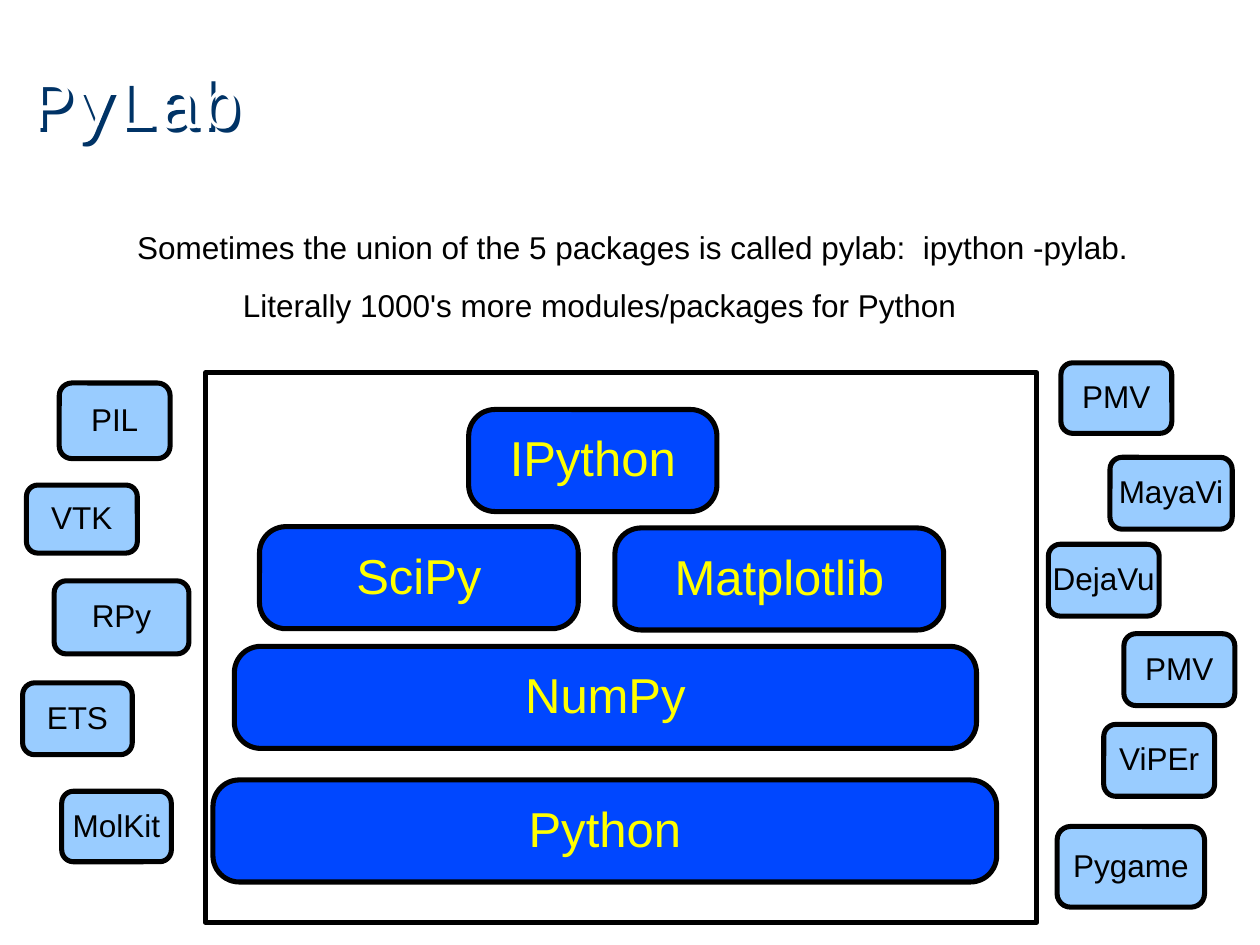
from lxml import etree
from pptx import Presentation
from pptx.dml.color import RGBColor
from pptx.enum import shapes, text
from pptx.oxml import ns
from pptx.util import Inches, Pt

COLORS = {
    "white": "FFFFFF",
    "black": "000000",
    "navy": "003366",
    "core": "0047FF",
    "core_text": "FFFF00",
    "extra": "99CCFF",
}
TITLE = ("PyLab", (0.25, 0.17, 8.5, 1.25))
NOTES = [
    ("Sometimes the union of the 5 packages is called pylab:  ipython -pylab.", (0.99, 1.79, 8.36, 0.38)),
    ("Literally 1000's more modules/packages for Python", (1.83, 2.25, 5.93, 0.38)),
]
CORE_HEIGHT = 0.81
CORE = [
    ("Python", 1.69, 6.19, 6.22),
    ("IPython", 3.72, 3.25, 1.97),
    ("NumPy", 1.86, 5.13, 5.89),
    ("SciPy", 2.06, 4.18, 2.53),
    ("Matplotlib", 4.88, 4.19, 2.61),
]
FRAME = (1.63, 2.96, 6.6, 4.36)
EXTRAS = [
    ("PIL", (0.47, 3.04, 0.88, 0.6)),
    ("VTK", (0.21, 3.85, 0.88, 0.54)),
    ("RPy", (0.43, 4.61, 1.07, 0.58)),
    ("ETS", (0.18, 5.42, 0.87, 0.57)),
    ("MolKit", (0.49, 6.28, 0.87, 0.56)),
    ("PMV", (8.42, 2.88, 0.88, 0.56)),
    ("MayaVi", (8.81, 3.63, 0.97, 0.57)),
    ("DejaVu", (8.32, 4.32, 0.88, 0.57)),
    ("PMV", (8.92, 5.03, 0.88, 0.57)),
    ("ViPEr", (8.76, 5.75, 0.88, 0.57)),
    ("Pygame", (8.39, 6.56, 1.17, 0.64)),
]


def color(name):
    return RGBColor.from_string(COLORS[name])


def write(shape, words, size=18, font="Arial", ink="black", align=text.PP_ALIGN.LEFT,
          anchor=text.MSO_ANCHOR.TOP, wrap=True, spacing=0.93):
    frame = shape.text_frame
    frame.auto_size = text.MSO_AUTO_SIZE.NONE
    frame.word_wrap = wrap
    frame.vertical_anchor = anchor
    paragraph = frame.paragraphs[0]
    paragraph.alignment = align
    paragraph.line_spacing = spacing
    run = paragraph.add_run()
    run.text = words
    run.font.size = Pt(size)
    run.font.name = font
    run.font.color.rgb = color(ink)


def add_box(slide, box, rounding, fill=None):
    shape = slide.shapes.add_shape(shapes.MSO_SHAPE.ROUNDED_RECTANGLE, *map(Inches, box))
    shape.adjustments[0] = rounding
    shape.shadow.inherit = False
    if fill:
        shape.fill.solid()
        shape.fill.fore_color.rgb = color(fill)
    else:
        shape.fill.background()
    shape.line.color.rgb = color("black")
    shape.line.width = Pt(2.89)
    return shape


def add_label_box(slide, words, box, rounding, fill, **style):
    write(add_box(slide, box, rounding, fill), words, align=text.PP_ALIGN.CENTER,
          anchor=text.MSO_ANCHOR.MIDDLE, wrap=False, **style)


def add_title(slide):
    words, box = TITLE
    title = slide.shapes.title
    title.left, title.top, title.width, title.height = map(Inches, box)
    frame = title.text_frame
    frame.margin_left = frame.margin_right = frame.margin_top = frame.margin_bottom = 0
    write(title, words, size=40, font="Courier New", ink="white",
          anchor=text.MSO_ANCHOR.MIDDLE, spacing=1.0)
    effects = etree.SubElement(title.element.spPr, ns.qn("a:effectLst"))
    shadow = etree.SubElement(effects, ns.qn("a:outerShdw"), dist=str(Pt(3.5)), dir="2700000")
    etree.SubElement(shadow, ns.qn("a:srgbClr"), val=COLORS["navy"])


def main():
    presentation = Presentation()
    presentation.slide_width, presentation.slide_height = Inches(10), Inches(7.5)
    slide = presentation.slides.add_slide(presentation.slide_layouts[5])
    add_title(slide)
    for words, left, top, width in CORE:
        add_label_box(slide, words, (left, top, width, CORE_HEIGHT), 0.258, "core",
                      size=28, ink="core_text")
    add_box(slide, FRAME, 0)
    for words, box in EXTRAS:
        add_label_box(slide, words, box, 0.167, "extra")
    for words, box in NOTES:
        write(slide.shapes.add_textbox(*map(Inches, box)), words)
    presentation.save("out.pptx")


if __name__ == "__main__":
    main()
